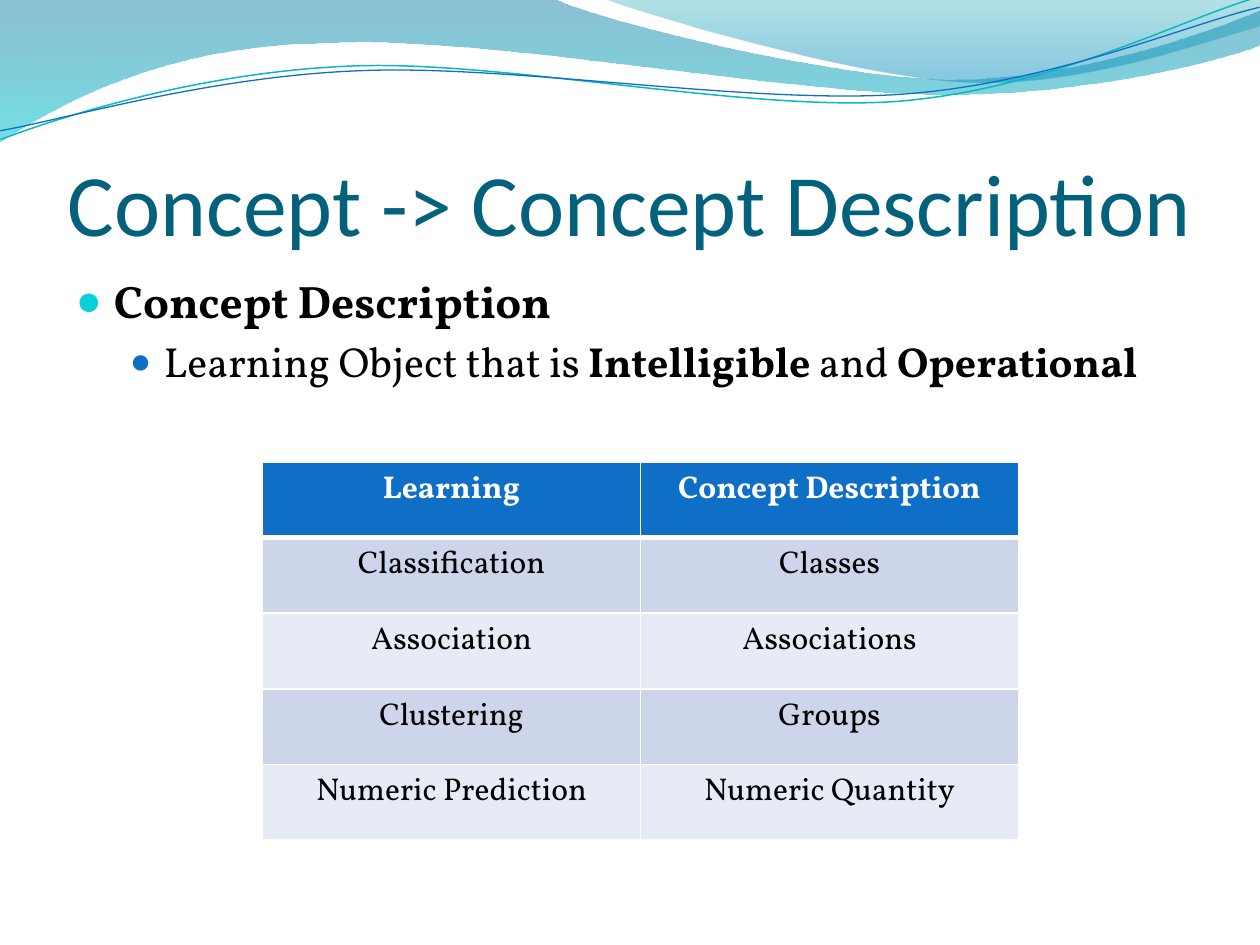
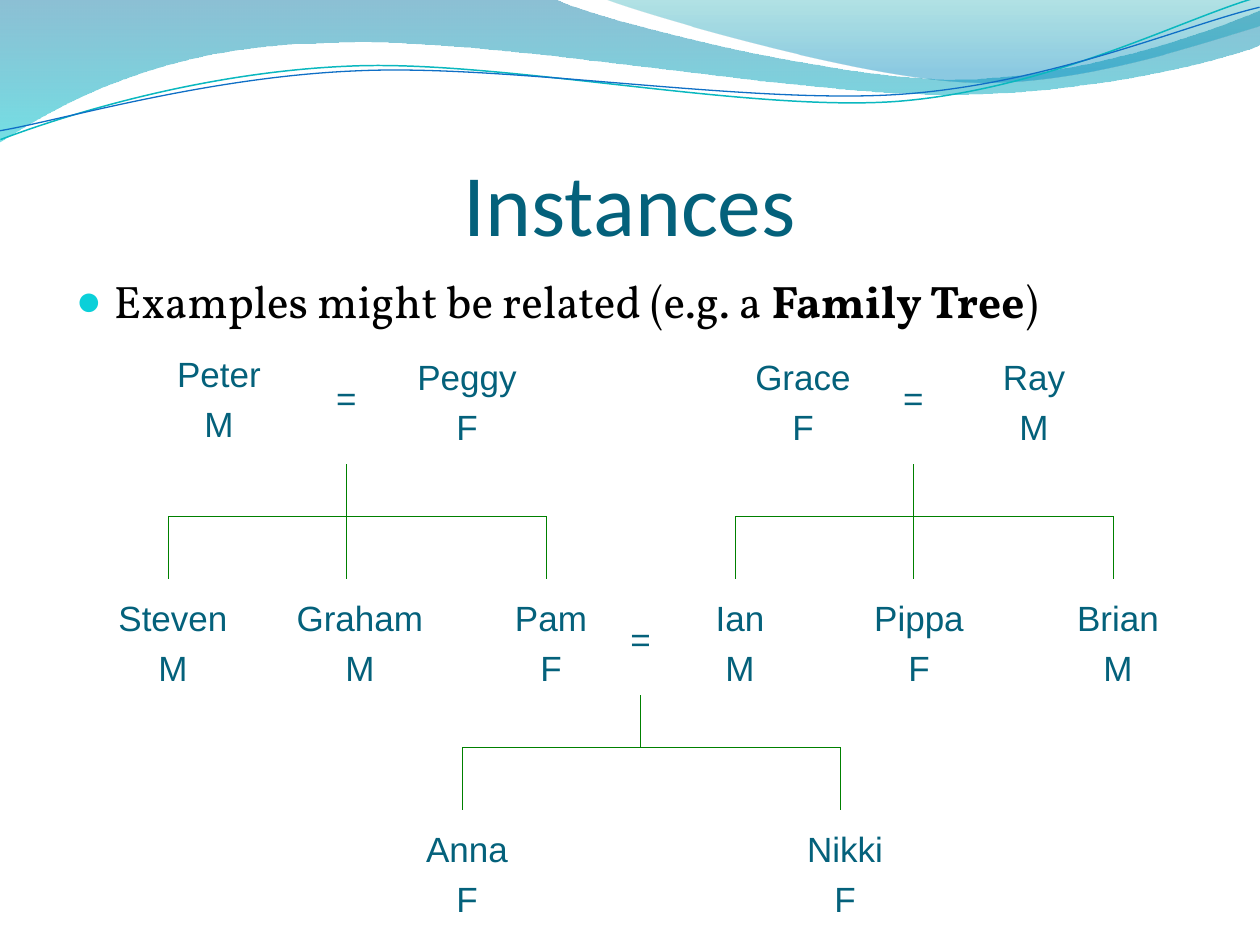
from lxml import etree
from pptx import Presentation
from pptx.dml.color import RGBColor
from pptx.enum.shapes import MSO_CONNECTOR
from pptx.enum.text import MSO_ANCHOR as ANCHOR, PP_ALIGN as ALIGN
from pptx.oxml import parse_xml
from pptx.oxml.ns import nsdecls, qn
from pptx.util import Emu, Pt

PX = 914400 / 126
HALF = 0.5  # centres thin lines on a pixel
COLORS = {
    "title": "04617B", "text": "000000", "white": "FFFFFF", "tree": "008000",
    "blue": "0F6FC6", "cyan": "0BD0D9", "teal": "0AB8BF",
    "band_dark": "CCD5EA", "band_light": "E7EBF5",
}
FONTS = {
    "title": dict(name="Calibri", size=50, color="title"),
    "body": dict(name="Vollkorn", size=26, color="text"),
    "sub": dict(name="Vollkorn", size=24, color="text"),
    "table": dict(name="Vollkorn", size=18, color="text"),
    "person": dict(name="Arial", size=20, color="title"),
}

# Wave curves: a 2-value point is a straight step, a 6-value one is a Bezier
WAVES = [
    dict(stops=[(0, "0074A1", 45), (100, "00C6CF", 55)], points=[
        (0, 0), (554, -1), (600, 21, 837, 79, 955, 79),
        (1075, 79, 1207, 33, 1260, 11), (1261, 45),
        (1239, 55, 1096, 96, 940, 94), (784, 94, 481, 35, 324, 43),
        (163, 45, 58, 105, -1, 142), (0, 0)]),
    dict(stops=[(0, "00A1A9", 30), (80, "008BBF", 45)], points=[
        (604, -1), (641, 14, 859, 78, 969, 82),
        (1079, 87, 1211, 40, 1260, 26), (1260, 0), (604, -1)]),
    dict(line=("teal", 0.85), rotation=357.3, points=[
        (-2, 110), (59, 90, 200, 52, 350, 53),
        (499, 53, 745, 118, 896, 114), (1049, 109, 1184, 45, 1260, 27)]),
    dict(line=("blue", 0.75), rotation=357.3, points=[
        (-2, 101), (57, 94, 207, 57, 357, 58),
        (509, 58, 750, 111, 902, 107), (1052, 103, 1187, 51, 1262, 37)]),
]

# Bullet levels: font, left margin, hanging indent, bullet colour, bullet size %
LEVELS = [("body", 38, 38, "cyan", 95), ("sub", 88, 34, "blue", 85)]

# Each body line: level, then (text, bold) runs
CONCEPT_BODY = [
    (0, [("Concept Description", True)]),
    (1, [("Learning Object that is ", False), ("Intelligible", True),
         (" and ", False), ("Operational", True)]),
]
INSTANCES_BODY = [
    (0, [("Examples might be related (e.g. a ", False), ("Family Tree", True),
         (")", False)]),
]
CONCEPT_ROWS = [
    ("Learning", "Concept Description"),
    ("Classification", "Classes"),
    ("Association", "Associations"),
    ("Clustering", "Groups"),
    ("Numeric Prediction", "Numeric Quantity"),
]

# Family tree: name, sex, centre x, top
PEOPLE = [
    ("Peter", "M", 219, 346), ("Peggy", "F", 467, 349),
    ("Grace", "F", 803, 349), ("Ray", "M", 1034, 349),
    ("Steven", "M", 173, 590), ("Graham", "M", 360, 590),
    ("Pam", "F", 551, 590), ("Ian", "M", 740, 590),
    ("Pippa", "F", 919, 590), ("Brian", "M", 1118, 590),
    ("Anna", "F", 467, 821), ("Nikki", "F", 845, 821),
]
WIDE, OUTLINED = "Graham", "Brian"
# Couple x, top of the equals sign, top of the stem, x of each child
COUPLES = [
    (346, 371, 465, (168, 346, 546)),
    (913, 371, 465, (735, 913, 1113)),
    (640, 612, 696, (462, 840)),
]


def px(n):
    return Emu(round(n * PX))


def rgb(name):
    return RGBColor.from_string(COLORS.get(name, name))


def add_run(p, text, font, **extra):
    r = p.add_run()
    r.text = text
    for key, value in {**FONTS[font], **extra}.items():
        if key == "color":
            r.font.color.rgb = rgb(value)
        else:
            setattr(r.font, key, Pt(value) if key == "size" else value)


def set_frame(sp, margins=(13, 6, 13, 6), anchor=ANCHOR.TOP):
    tf = sp.text_frame
    tf.word_wrap = True
    tf.vertical_anchor = anchor
    for side, value in zip(("left", "top", "right", "bottom"), margins):
        setattr(tf, f"margin_{side}", px(value))
    return tf


def add_box(s, x, y, w, h, *frame):
    return set_frame(s.shapes.add_textbox(px(x), px(y), px(w), px(h)), *frame)


def add_outline(s, points):
    """Freeform through the points; each Bezier step becomes one curve."""
    flat = [(px(x), px(y)) for step in points for x, y in zip(step[::2], step[1::2])]
    builder = s.shapes.build_freeform(*flat[0], scale=1.0)
    builder.add_line_segments(flat[1:], close=points[0] == points[-1])
    sp = builder.convert_to_shape()
    sp.shadow.inherit = False
    segments = iter(list(sp._element.iter(qn("a:lnTo"))))
    for step in points[1:]:
        first = next(segments)
        if len(step) == 6:
            first.tag = qn("a:cubicBezTo")
            for _ in range(2):
                extra = next(segments)
                first.append(extra[0])
                extra.getparent().remove(extra)
    return sp


def add_wave(s, points, stops=None, line=None, rotation=0):
    sp = add_outline(s, points)
    sp.rotation = rotation
    if line:
        sp.fill.background()
        sp.line.color.rgb, sp.line.width = rgb(line[0]), Pt(line[1])
        return sp
    sp.line.fill.background()
    sp.fill.gradient()
    sp.fill.gradient_angle = 270
    for stop, (position, color, _) in zip(sp.fill.gradient_stops, stops):
        stop.position = position / 100
        stop.color.rgb = rgb(color)
    for node, (_, _, alpha) in zip(sp._element.spPr.iter(qn("a:srgbClr")), stops):
        etree.SubElement(node, qn("a:alpha")).set("val", str(alpha * 1000))
    return sp


def move_waves_to_layout(s):
    """Draw the waves once and share them through the layout."""
    for i, wave in enumerate(WAVES):
        element = add_wave(s, **wave)._element
        element.nvSpPr.cNvPr.set("id", str(100 + i))
        s.slide_layout.shapes.element.append(element)


def add_bullet(p, margin, hanging, color, size):
    pPr = p._p.get_or_add_pPr()
    pPr.set("marL", str(px(margin)))
    pPr.set("indent", str(-px(hanging)))
    for xml in (
        '<a:spcBef {}><a:spcPct val="20000"/></a:spcBef>',
        f'<a:buClr {{}}><a:srgbClr val="{COLORS[color]}"/></a:buClr>',
        f'<a:buSzPct {{}} val="{size * 1000}"/>',
        '<a:buFont {} typeface="Arial"/>',
        '<a:buChar {} char="●"/>',
    ):
        pPr.append(parse_xml(xml.format(nsdecls("a"))))


def add_base_slide(prs, title, body):
    s = prs.slides.add_slide(prs.slide_layouts[6])
    # Title
    p = add_box(s, 63, 96, 1134, 158, (0, 6, 0, 0), ANCHOR.BOTTOM).paragraphs[0]
    p.alignment = ALIGN.CENTER
    add_run(p, title, "title")
    # Bulleted body
    tf = add_box(s, 63, 267, 1134, 605)
    for i, (level, runs) in enumerate(body):
        p = tf.paragraphs[0] if i == 0 else tf.add_paragraph()
        p.level = level
        font, *bullet = LEVELS[level]
        add_bullet(p, *bullet)
        for text, bold in runs:
            add_run(p, text, font, bold=bold)
    return s


def set_borders(cell, row):
    tcPr = cell._tc.get_or_add_tcPr()
    thick = {(0, "B"), (1, "T")}
    for side in "LRTB":
        width = Pt(3 if (row, side) in thick else 1)
        tcPr.append(parse_xml(
            f'<a:ln{side} {nsdecls("a")} w="{width}"><a:solidFill>'
            f'<a:srgbClr val="{COLORS["white"]}"/></a:solidFill></a:ln{side}>'))


def add_concept_table(s, rows, x=262 + HALF, y=462, w=756, h=378):
    frame = s.shapes.add_table(len(rows), len(rows[0]), px(x), px(y), px(w), px(h))
    table = frame.table
    table.horz_banding = False
    for i, row in enumerate(rows):
        table.rows[i].height = px(h / len(rows))
        band = "blue" if i == 0 else ("band_light", "band_dark")[i % 2]
        for j, text in enumerate(row):
            cell = table.cell(i, j)
            set_borders(cell, i)
            cell.fill.solid()
            cell.fill.fore_color.rgb = rgb(band)
            p = cell.text_frame.paragraphs[0]
            p.alignment = ALIGN.CENTER
            add_run(p, text, "table", bold=i == 0, color="text" if i else "white")


def add_lines(tf, lines, **extra):
    for i, text in enumerate(lines):
        p = tf.paragraphs[0] if i == 0 else tf.add_paragraph()
        p.alignment = ALIGN.CENTER
        p.space_before = Pt(5)
        add_run(p, text, "person", **extra)


def add_line(s, x1, y1, x2, y2):
    ends = [px(n) for n in (x1 + HALF, y1 - HALF, x2 + HALF, y2 - HALF)]
    c = s.shapes.add_connector(MSO_CONNECTOR.STRAIGHT, *ends)
    c.line.color.rgb, c.line.width = rgb("tree"), Pt(0.75)
    etree.SubElement(c._element.spPr, qn("a:effectLst"))


def add_person(s, name, sex, x, top, h=105):
    w = 174 if name == WIDE else 158
    left = x - w // 2
    if name == OUTLINED:
        right, bottom = left + w, top + h
        sp = add_outline(s, [(left, top), (right, top), (right, bottom),
                             (left, bottom), (left, top)])
        sp.fill.background()
        sp.line.fill.background()
        tf = set_frame(sp)
    else:
        tf = add_box(s, left, top, w, h)
    add_lines(tf, [name, sex])


def add_family_tree(s):
    for x, sign_top, stem, children in COUPLES:
        add_lines(add_box(s, x - 42, sign_top, 84, 53), ["="], italic=True)
        bar, foot = stem + 52, stem + 115
        inner = x in children
        add_line(s, x, stem, x, foot if inner else bar)
        add_line(s, children[0], bar, children[-1], bar)
        for child in (children[0], children[-1]):
            add_line(s, child, bar, child, foot)
    for person in PEOPLE:
        add_person(s, *person)


def main():
    prs = Presentation()
    prs.slide_width, prs.slide_height = px(1260), px(945)
    s = add_base_slide(prs, "Concept -> Concept Description", CONCEPT_BODY)
    move_waves_to_layout(s)
    add_concept_table(s, CONCEPT_ROWS)
    s = add_base_slide(prs, "Instances", INSTANCES_BODY)
    add_family_tree(s)
    prs.save("out.pptx")


if __name__ == "__main__":
    main()
